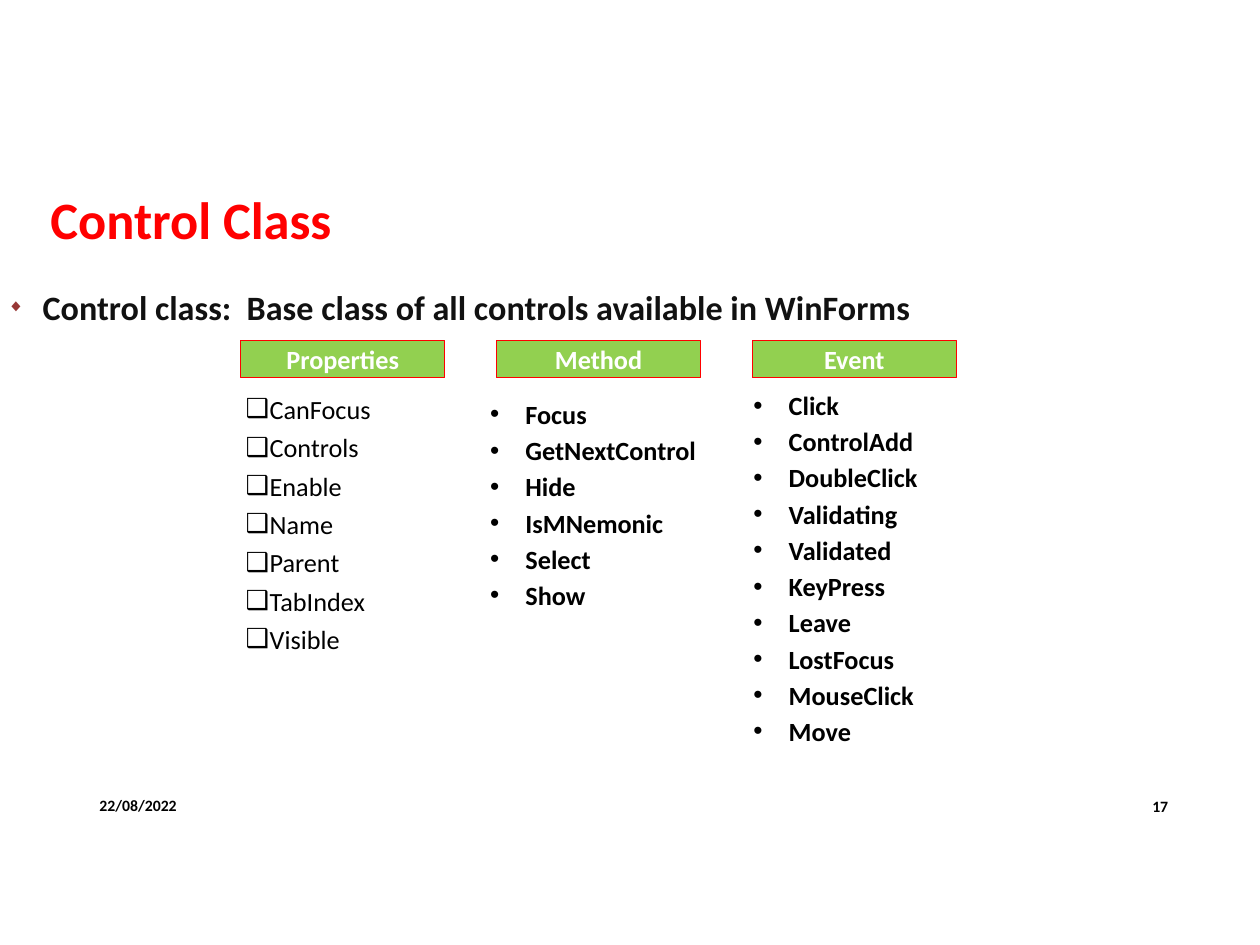
from lxml import etree
from pptx import Presentation
from pptx.dml.color import RGBColor
from pptx.enum.shapes import MSO_SHAPE
from pptx.enum.text import MSO_ANCHOR, MSO_AUTO_SIZE, PP_ALIGN
from pptx.oxml.ns import qn
from pptx.util import Inches, Pt

TITLE = "Control Class"
STATEMENT = "Control class:  Base class of all controls available in WinForms"
PROPERTIES = ["CanFocus", "Controls", "Enable", "Name", "Parent", "TabIndex", "Visible"]
METHODS = ["Focus", "GetNextControl", "Hide", "IsMNemonic", "Select", "Show"]
EVENTS = ["Click", "ControlAdd", "DoubleClick", "Validating", "Validated",
          "KeyPress", "Leave", "LostFocus", "MouseClick", "Move"]
HEADINGS = ["Properties", "Method", "Event"]
DATE, PAGE = "22/08/2022", "17"

FONT = "Calibri"
BLACK = RGBColor(0x00, 0x00, 0x00)
NEAR_BLACK = RGBColor(0x11, 0x11, 0x11)
WHITE = RGBColor(0xFF, 0xFF, 0xFF)
RED = RGBColor(0xFF, 0x00, 0x00)
GREEN = RGBColor(0x92, 0xD0, 0x50)
BULLET_RED = RGBColor(0x97, 0x37, 0x35)

LEFT, CENTER, RIGHT, JUSTIFY = (PP_ALIGN.LEFT, PP_ALIGN.CENTER,
                                PP_ALIGN.RIGHT, PP_ALIGN.JUSTIFY)
TOP, MIDDLE = MSO_ANCHOR.TOP, MSO_ANCHOR.MIDDLE

HEADING_LEFT, HEADING_TOP, HEADING_STEP = 1.91, 2.7, 2.03
HEADING_WIDTH, HEADING_HEIGHT = 1.62, 0.3


def place(shape, left, top, width, height):
    shape.left, shape.top = Inches(left), Inches(top)
    shape.width, shape.height = Inches(width), Inches(height)


def write(shape, lines, size, color=BLACK, bold=False, align=LEFT, anchor=TOP,
          line_spacing=None, before=0):
    frame = shape.text_frame
    frame.text = "\n".join(lines)
    frame.word_wrap = True
    frame.auto_size = MSO_AUTO_SIZE.NONE
    frame.vertical_anchor = anchor
    for number, paragraph in enumerate(frame.paragraphs):
        paragraph.alignment = align
        paragraph.space_before = Pt(before if number else 0)
        if line_spacing:
            paragraph.line_spacing = line_spacing
        for run in paragraph.runs:
            font = run.font
            font.name, font.size, font.bold = FONT, Pt(size), bold
            font.color.rgb = color


def add_bullets(shape, char, indent, color=None, percent=None):
    for paragraph in shape.text_frame.paragraphs:
        properties = paragraph._p.get_or_add_pPr()
        properties.set("marL", str(Inches(indent)))
        properties.set("indent", str(-Inches(indent)))
        if color is not None:
            bullet_color = etree.SubElement(properties, qn("a:buClr"))
            etree.SubElement(bullet_color, qn("a:srgbClr"), val=str(color))
        if percent:
            etree.SubElement(properties, qn("a:buSzPct"), val=str(percent * 1000))
        etree.SubElement(properties, qn("a:buFont"), typeface="Arial")
        etree.SubElement(properties, qn("a:buChar"), char=char)


def add_text(slide, box, lines, size, **style):
    shape = slide.shapes.add_textbox(*map(Inches, box))
    write(shape, lines, size, **style)
    return shape


def add_member_list(slide, box, members):
    shape = add_text(slide, box, members, 15, bold=True, before=2.7)
    frame = shape.text_frame
    frame.margin_left = frame.margin_right = Inches(0.07)
    frame.margin_top = frame.margin_bottom = Inches(0.04)
    add_bullets(shape, "•", 0.28)


def add_heading(slide, column, heading):
    shape = slide.shapes.add_shape(
        MSO_SHAPE.RECTANGLE, Inches(HEADING_LEFT + column * HEADING_STEP),
        Inches(HEADING_TOP), Inches(HEADING_WIDTH), Inches(HEADING_HEIGHT))
    shape.shadow.inherit = False
    shape.fill.solid()
    shape.fill.fore_color.rgb = GREEN
    shape.line.color.rgb = RED
    shape.line.width = Pt(0.5)
    write(shape, [heading], 15, WHITE, bold=True, align=CENTER, anchor=MIDDLE)


def main():
    presentation = Presentation()
    presentation.slide_width, presentation.slide_height = Inches(10), Inches(7.5)
    slide = presentation.slides.add_slide(presentation.slide_layouts[1])

    title = slide.shapes.title
    place(title, 0.3, 1.53, 6.37, 0.47)
    write(title, [TITLE], 30, RED, bold=True, anchor=MIDDLE, line_spacing=0.9)

    properties = slide.placeholders[1]
    place(properties, 1.85, 3.12, 1.69, 2.29)
    write(properties, PROPERTIES, 15, line_spacing=0.8, before=7.5)
    add_bullets(properties, "❑", 0.19)

    statement = add_text(slide, (-0.04, 2.06, 8.2, 0.54), [STATEMENT], 19.5,
                         color=NEAR_BLACK, bold=True, align=JUSTIFY, line_spacing=1.5)
    add_bullets(statement, "◆", 0.28, BULLET_RED, 50)

    for column, heading in enumerate(HEADINGS):
        add_heading(slide, column, heading)
    add_member_list(slide, (3.82, 3.12, 1.99, 1.85), METHODS)
    add_member_list(slide, (5.91, 3.05, 1.99, 3.03), EVENTS)

    add_text(slide, (0.69, 6.24, 2.25, 0.3), [DATE], 9, bold=True, anchor=MIDDLE)
    add_text(slide, (7.12, 6.25, 2.25, 0.3), [PAGE], 9, bold=True,
             align=RIGHT, anchor=MIDDLE)

    presentation.save("out.pptx")


if __name__ == "__main__":
    main()
